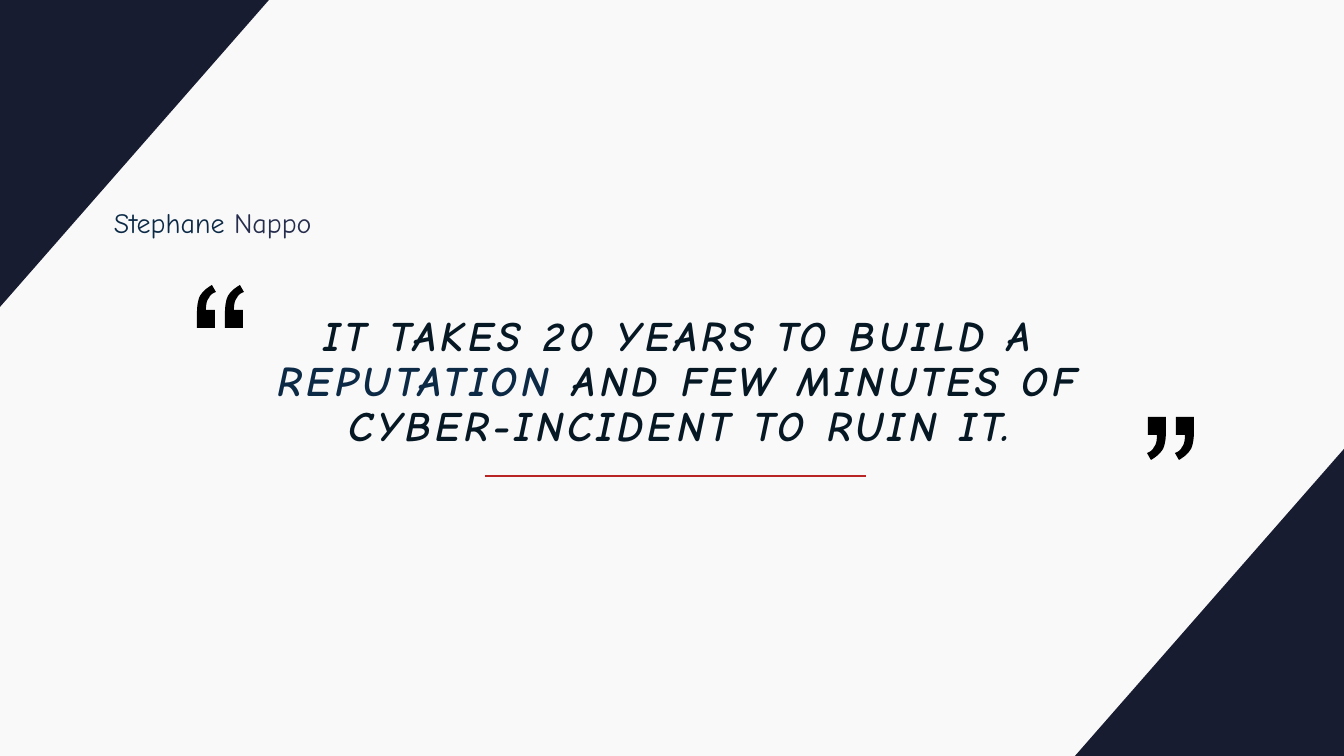
from dataclasses import dataclass

from pptx import Presentation
from pptx import util as u
from pptx.dml.color import RGBColor
from pptx.enum import shapes, text
from pptx.oxml.ns import qn
from lxml import etree

W, H = 1344, 756
Point = tuple[float, float]


@dataclass(frozen=True)
class Theme:
    font: str = "Comic Neue"
    paper: str = "F9F9F9"
    corner: str = "181C30"
    quote: str = "071825"
    accent: str = "0C2A46"
    surname: str = "272D4D"
    rule: str = "B92525"
    mark: str = "000000"
    quote_size: int = 30
    author_size: int = 20


@dataclass(frozen=True)
class TextRun:
    words: str
    color: str


@dataclass(frozen=True)
class Outline:
    contours: list[list[Point]]
    color: str


THEME = Theme()


def px(n: float) -> int:
    return u.Emu(round(n * u.Inches(40 / 3) / W))


def rgb(color: str) -> RGBColor:
    return RGBColor.from_string(color)


def half_turn(points: list[Point], total_x: int, total_y: int) -> list[Point]:
    """Rotate points by 180 degrees; totals are twice the centre."""
    return [(total_x - x, total_y - y) for x, y in points]


def curve(a: Point, b: Point, c: Point, d: Point, steps: int = 8) -> list[Point]:
    """Points along a cubic curve, without its start."""
    points = []
    for i in range(1, steps + 1):
        t = i / steps
        k = ((1 - t) ** 3, 3 * t * (1 - t) ** 2, 3 * t * t * (1 - t), t ** 3)
        points.append(tuple(sum(w * p[axis] for w, p in zip(k, (a, b, c, d)))
                            for axis in (0, 1)))
    return points


def quote_mark(left: int, top: int) -> list[Point]:
    points = [(15, 0), (19, 7),
              *curve((19, 7), (16, 8), (13, 10), (12, 13)),
              *curve((12, 13), (10, 15), (9, 19), (9, 25)),
              (18, 25), (18, 43), (0, 43), (0, 29),
              *curve((0, 29), (0, 21), (1, 15), (3, 11)),
              *curve((3, 11), (6, 6), (10, 3), (15, 0))]
    return [(left + x, top + y) for x, y in points]


def add_outline(s, outline: Outline) -> None:
    builder = None
    for contour in outline.contours:
        start, *rest = [(px(x), px(y)) for x, y in contour]
        if builder is None:
            builder = s.shapes.build_freeform(*start, scale=1.0)
        else:
            builder.move_to(*start)
        builder.add_line_segments(rest, close=True)
    sp = builder.convert_to_shape()
    sp.shadow.inherit = False
    sp.fill.solid()
    sp.fill.fore_color.rgb = rgb(outline.color)
    sp.line.fill.background()


def add_text(s, box: tuple[int, int, int, int], runs: list[TextRun], size: int):
    sp = s.shapes.add_textbox(*map(px, box))
    tf = sp.text_frame
    tf.word_wrap = True
    p = tf.paragraphs[0]
    p.font.name = THEME.font
    p.font.size = u.Pt(size)
    for run in runs:
        r = p.add_run()
        r.text = run.words
        r.font.color.rgb = rgb(run.color)
    return tf


def main() -> None:
    prs = Presentation()
    prs.slide_width, prs.slide_height = px(W), px(H)
    s = prs.slides.add_slide(prs.slide_layouts[6])
    s.background.fill.solid()
    s.background.fill.fore_color.rgb = rgb(THEME.paper)

    # Corner triangles
    corner = [(0, 0), (269, 0), (0, 307)]
    for points in (corner, half_turn(corner, W, H)):
        add_outline(s, Outline([points], THEME.corner))

    # Quotation
    tf = add_text(s, (197, 213, 966, 288), [
        TextRun("IT TAKES 20 YEARS TO BUILD A ", THEME.quote),
        TextRun("REPUTATION", THEME.accent),
        TextRun(" AND FEW MINUTES OF CYBER-INCIDENT TO RUIN IT.", THEME.quote),
    ], THEME.quote_size)
    tf.vertical_anchor = text.MSO_ANCHOR.BOTTOM
    tf.margin_bottom = px(50)
    p = tf.paragraphs[0]
    p.alignment = text.PP_ALIGN.CENTER
    p.line_spacing = 0.9
    p.font.bold = p.font.italic = True
    for r in p.runs:
        r._r.get_or_add_rPr().set("spc", "300")

    # Red rule
    rule = s.shapes.add_connector(shapes.MSO_CONNECTOR.STRAIGHT,
                                  px(485), px(476), px(866), px(476))
    rule.line.color.rgb = rgb(THEME.rule)
    rule.line.width = u.Pt(1.5)
    etree.SubElement(rule._element.spPr, qn("a:effectLst"))

    # Author
    tf = add_text(s, (104, 201, 672, 44), [
        TextRun("Stephane ", THEME.accent),
        TextRun("Nappo", THEME.surname),
    ], THEME.author_size)
    tf.auto_size = text.MSO_AUTO_SIZE.SHAPE_TO_FIT_TEXT

    # Quotation marks
    opening = [quote_mark(left, 285) for left in (197, 225)]
    closing = [half_turn(mark, 1391, 745) for mark in opening]
    for marks in (opening, closing):
        add_outline(s, Outline(marks, THEME.mark))

    prs.save("out.pptx")


if __name__ == "__main__":
    main()
